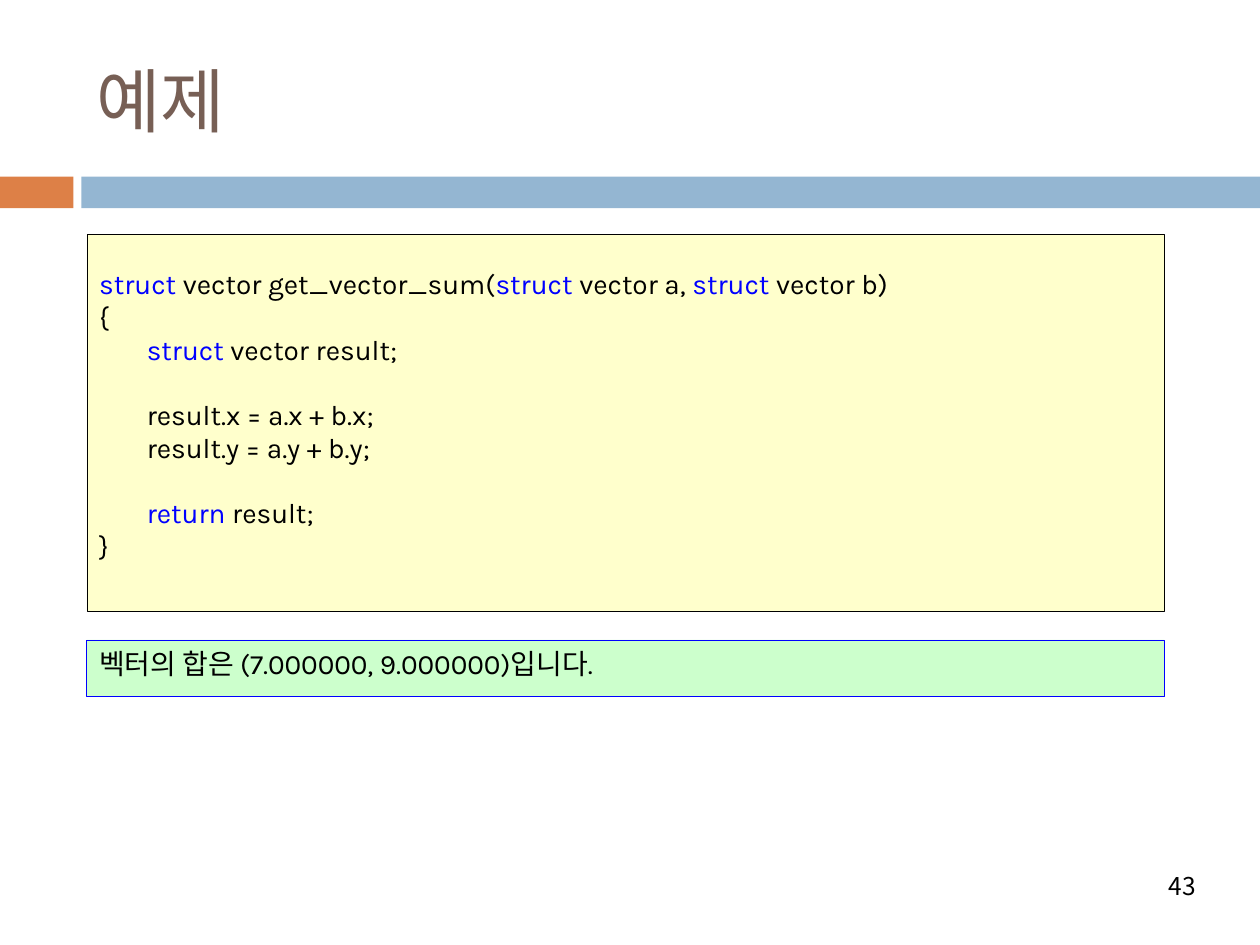
from lxml.etree import SubElement
from pptx import Presentation
from pptx.dml.color import RGBColor
from pptx.enum.shapes import MSO_SHAPE
from pptx.enum.text import MSO_ANCHOR, PP_ALIGN
from pptx.oxml.ns import qn
from pptx.util import Cm, Pt

ORANGE = RGBColor(0xDD, 0x80, 0x47)
SKY = RGBColor(0x94, 0xB6, 0xD2)
BROWN = RGBColor(0x77, 0x5F, 0x55)
CREAM = RGBColor(0xFF, 0xFF, 0xCC)
MINT = RGBColor(0xCC, 0xFF, 0xCC)
BLUE = RGBColor(0x00, 0x00, 0xFF)
BLACK = RGBColor(0x00, 0x00, 0x00)

LATIN = "Karla"
KOREAN = "Noto Sans CJK KR"
KEYWORDS = ("struct", "return")
CODE = """\
struct vector get_vector_sum(struct vector a, struct vector b)
{
\tstruct vector result;

\tresult.x = a.x + b.x;
\tresult.y = a.y + b.y;

\treturn result;
}"""

PANEL_LEFT, PANEL_WIDTH = Cm(1.75), Cm(21.72)
CODE_INDENT = Cm(0.96)
LINE_GAP, BLANK_LINE = Pt(3.5), Pt(18.5)

CODE_FRAME = {"vertical_anchor": MSO_ANCHOR.TOP, "margin_top": Cm(0.78), "word_wrap": True}
OUTPUT_FRAME = {"vertical_anchor": MSO_ANCHOR.TOP, "word_wrap": True}
LABEL_FRAME = {"vertical_anchor": MSO_ANCHOR.MIDDLE, "word_wrap": True}


def apply_format(target, values):
    for name, value in values.items():
        setattr(target, name, value)


def add_run(paragraph, text, size, color, font=LATIN):
    run = paragraph.add_run()
    run.text = text
    apply_format(run.font, {"size": Pt(size), "name": font})
    run.font.color.rgb = color
    SubElement(run.font._element, qn("a:ea")).set("typeface", KOREAN)


def add_block(slide, left, top, width, height, fill, border=None, border_width=0.25):
    block = slide.shapes.add_shape(MSO_SHAPE.RECTANGLE, left, top, width, height)
    block.shadow.inherit = False
    block.fill.solid()
    block.fill.fore_color.rgb = fill
    if border is None:
        block.line.fill.background()
    else:
        block.line.color.rgb = border
        block.line.width = Pt(border_width)
    return block


def add_label(slide, left, top, width, height, text, size, color, align):
    label = slide.shapes.add_textbox(left, top, width, height).text_frame
    apply_format(label, LABEL_FRAME)
    paragraph = label.paragraphs[0]
    paragraph.alignment = align
    add_run(paragraph, text, size, color, KOREAN)


def split_keywords(line):
    """Return the pieces of a code line, with each keyword on its own."""
    for keyword in KEYWORDS:
        line = line.replace(keyword + " ", f"\0{keyword}\0 ")
    return [piece for piece in line.split("\0") if piece]


def write_code(frame, code):
    """Write coloured code lines, with blank lines turned into spacing."""
    apply_format(frame, CODE_FRAME)
    paragraph = frame.paragraphs[0]
    gap = Pt(0)
    for number, line in enumerate(code.split("\n")):
        if not line:
            gap += BLANK_LINE
            continue
        if number:
            paragraph = frame.add_paragraph()
        apply_format(paragraph, {"alignment": PP_ALIGN.LEFT, "line_spacing": 0.8,
                                 "space_before": Pt(gap / Pt(1))})
        properties = paragraph._p.get_or_add_pPr()
        properties.set("marL", str(CODE_INDENT))
        properties.set("indent", str(-CODE_INDENT))
        for piece in split_keywords(line):
            add_run(paragraph, piece, 16, BLUE if piece in KEYWORDS else BLACK)
        gap = LINE_GAP


def write_output(frame, text):
    apply_format(frame, OUTPUT_FRAME)
    paragraph = frame.paragraphs[0]
    paragraph.alignment = PP_ALIGN.JUSTIFY
    add_run(paragraph, text, 16, BLACK)


def main():
    deck = Presentation()
    apply_format(deck, {"slide_width": Cm(25.4), "slide_height": Cm(19.05)})
    slide = deck.slides.add_slide(deck.slide_layouts[6])

    for left, width, color in ((0, 1.48, ORANGE), (1.64, 23.76, SKY)):
        add_block(slide, Cm(left), Cm(3.56), Cm(width), Cm(0.64), color)
    add_label(slide, Cm(1.7), Cm(0.64), Cm(22.66), Cm(2.74),
              "예제", 40, BROWN, PP_ALIGN.LEFT)

    code_panel = add_block(slide, PANEL_LEFT, Cm(4.72), PANEL_WIDTH, Cm(7.6), CREAM, BLACK)
    write_code(code_panel.text_frame, CODE)
    output_panel = add_block(slide, PANEL_LEFT, Cm(12.9), PANEL_WIDTH, Cm(1.13),
                             MINT, BLUE, 0.33)
    write_output(output_panel.text_frame, "벡터의 합은 (7.000000, 9.000000)입니다.")

    add_label(slide, Cm(17.3), Cm(17.35), Cm(7.06), Cm(1.02),
              "43", 14, BLACK, PP_ALIGN.RIGHT)
    deck.save("out.pptx")


if __name__ == "__main__":
    main()
